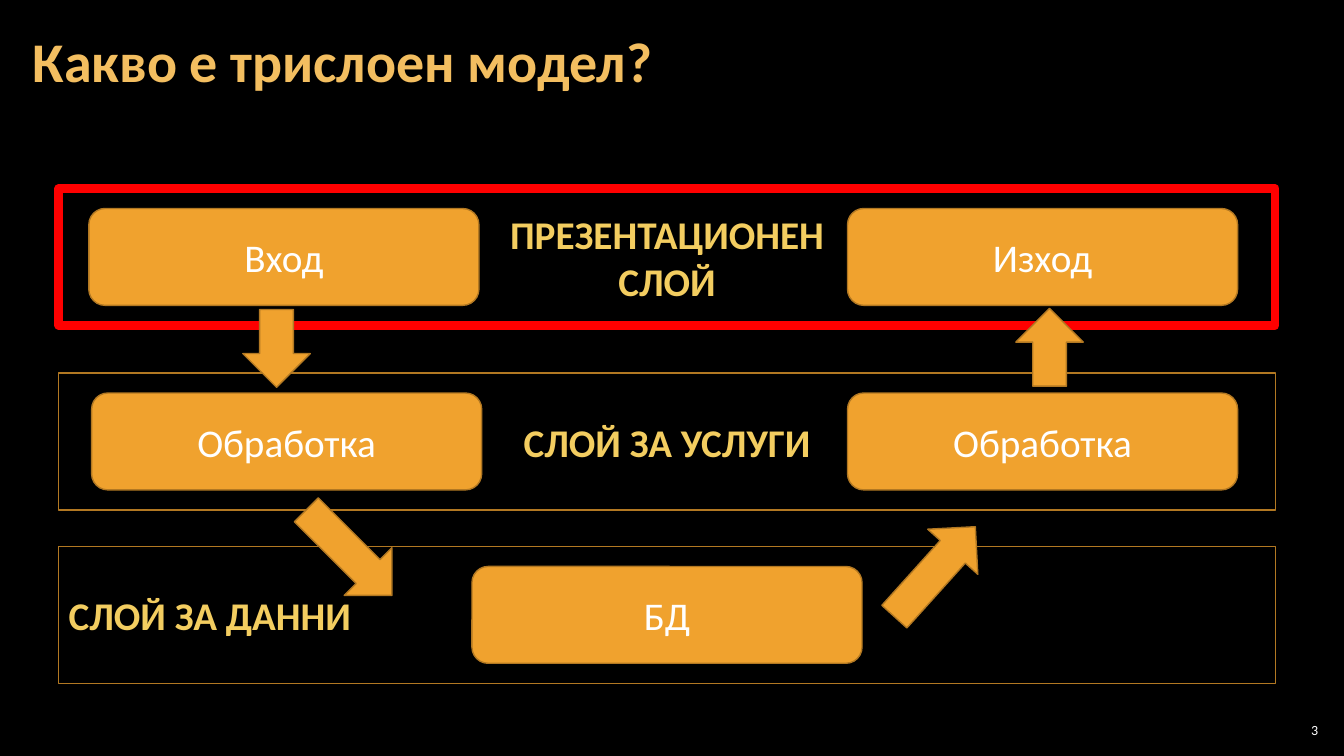
from pptx import Presentation
from pptx.dml.color import RGBColor
from pptx.enum.shapes import MSO_SHAPE as Shape
from pptx.enum.text import MSO_ANCHOR as Anchor, PP_ALIGN as Align
from pptx.util import Cm, Pt

COLORS = {
    "background": "000000",
    "title": "F3BE60",
    "layer_text": "F3CD60",
    "fill": "F0A22E",
    "outline": "B27822",
    "highlight": "FF0000",
    "white": "FFFFFF",
}
LAYER_LEFT, LAYER_WIDTH, LAYER_HEIGHT = 1.48, 30.66, 3.45
STEP_WIDTH, STEP_HEIGHT = 9.83, 2.44
STEP_CENTER = (LAYER_WIDTH - STEP_WIDTH) / 2
STEP_RIGHT = 19.88

LAYERS = [
    (4.75, "ПРЕЗЕНТАЦИОНЕН\vСЛОЙ", Align.CENTER, "highlight", 6,
     [("Вход", 0.76), ("Изход", STEP_RIGHT)]),
    (9.4, "СЛОЙ ЗА УСЛУГИ", Align.CENTER, "outline", 1,
     [("Обработка", 0.83), ("Обработка", STEP_RIGHT)]),
    (13.77, "СЛОЙ ЗА ДАННИ", Align.LEFT, "outline", 1,
     [("БД", STEP_CENTER)]),
]
ARROWS = [
    (6.12, 7.8, 1.96, 0),
    (7.95, 12.4, 3.05, 315),
    (22.71, 12.88, 3.05, 222),
    (25.6, 7.77, 1.96, 180),
]
ARROW_WIDTH = 1.7


def color(name):
    return RGBColor.from_string(COLORS[name])


def write(shape, text, size, color_name, align, bold=False):
    text_frame = shape.text_frame
    text_frame.word_wrap = True
    text_frame.vertical_anchor = Anchor.MIDDLE
    text_frame.text = text
    paragraph = text_frame.paragraphs[0]
    paragraph.alignment = align
    for run in paragraph.runs:
        run.font.name = "Calibri"
        run.font.size = Pt(size)
        run.font.bold = bold
        run.font.color.rgb = color(color_name)
    return paragraph


def add_block(slide, kind, box, fill="fill", outline="outline", weight=1):
    shape = slide.shapes.add_shape(kind, *map(Cm, box))
    shape.shadow.inherit = False
    if fill:
        shape.fill.solid()
        shape.fill.fore_color.rgb = color(fill)
    else:
        shape.fill.background()
    shape.line.color.rgb = color(outline)
    shape.line.width = Pt(weight)
    return shape


def add_label(slide, box, text, size, color_name, align, side_margin, bold=False):
    label = slide.shapes.add_textbox(*map(Cm, box))
    text_frame = label.text_frame
    text_frame.margin_left = text_frame.margin_right = Cm(side_margin)
    text_frame.margin_top = text_frame.margin_bottom = Cm(0.1)
    return write(label, text, size, color_name, align, bold)


def add_layer(slide, box, text, align, outline, weight, steps):
    left, top, width, height = box
    layer = add_block(slide, Shape.RECTANGLE, box, None, outline, weight)
    write(layer, text, 28, "layer_text", align, bold=True)
    step_top = top + (height - STEP_HEIGHT) / 2
    for name, offset in steps:
        step = add_block(slide, Shape.ROUNDED_RECTANGLE,
                         (left + offset, step_top, STEP_WIDTH, STEP_HEIGHT))
        write(step, name, 28, "white", Align.CENTER)


def add_arrow(slide, box, rotation):
    arrow = add_block(slide, Shape.DOWN_ARROW, box)
    arrow.rotation = rotation


def main():
    presentation = Presentation()
    presentation.slide_width, presentation.slide_height = Cm(33.87), Cm(19.05)
    slide = presentation.slides.add_slide(presentation.slide_layouts[6])
    slide.background.fill.solid()
    slide.background.fill.fore_color.rgb = color("background")

    add_label(slide, (32.13, 18.14, 1.19, 0.53), "3", 10, "white", Align.RIGHT, 0.1)
    title = add_label(slide, (0.53, 0.1, 26.6, 3.07), "Какво е трислоен модел?",
                      40, "title", Align.LEFT, 0.3, bold=True)
    title.line_spacing = 0.9

    for top, *details in LAYERS:
        add_layer(slide, (LAYER_LEFT, top, LAYER_WIDTH, LAYER_HEIGHT), *details)
    for left, top, height, rotation in ARROWS:
        add_arrow(slide, (left, top, ARROW_WIDTH, height), rotation)

    presentation.save("out.pptx")


if __name__ == "__main__":
    main()
